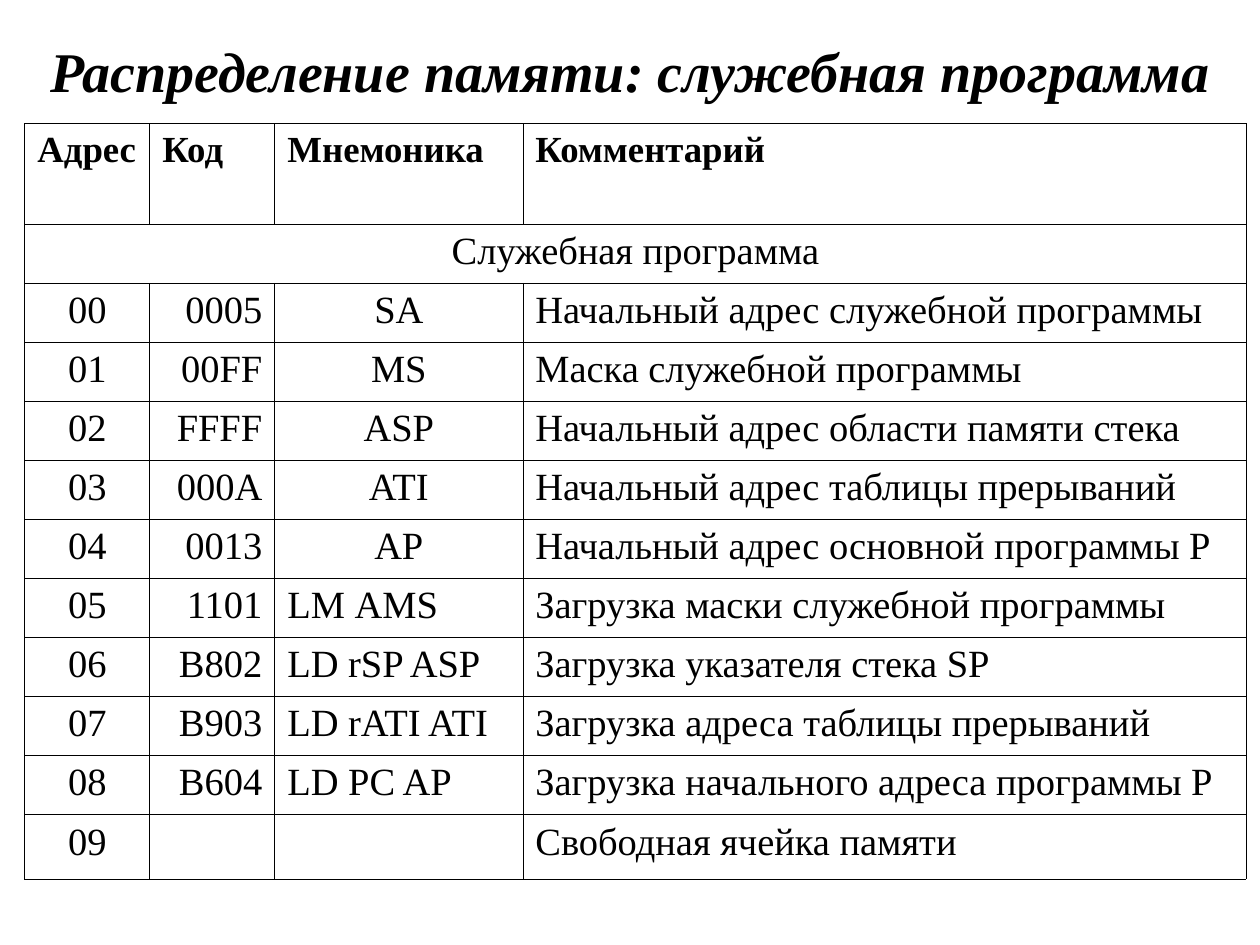
"""Build a slide with the memory layout table of a service program."""
from typing import NamedTuple

from lxml import etree
from pptx import Presentation
from pptx.dml.color import RGBColor
from pptx.enum.text import MSO_ANCHOR, PP_ALIGN
from pptx.oxml.ns import qn
from pptx.util import Cm, Pt

LEFT, CENTER = PP_ALIGN.LEFT, PP_ALIGN.CENTER
RIGHT, JUSTIFY = PP_ALIGN.RIGHT, PP_ALIGN.JUSTIFY
MIDDLE = MSO_ANCHOR.MIDDLE
BLACK = RGBColor(0, 0, 0)
FONT = "Times New Roman"
BORDER_WIDTH = Pt(0.45)
COLUMN_WIDTHS = (Cm(2.52), Cm(2.52), Cm(5), Cm(14.58))
HEADER_HEIGHT, ROW_HEIGHT, LAST_HEIGHT = Cm(2.03), Cm(1.19), Cm(1.3)
HEADERS = ("Адрес", "Код", "Мнемоника", "Комментарий")


class MemoryWord(NamedTuple):
    code: str
    mnemonic: str
    comment: str
    mnemonic_align: PP_ALIGN = LEFT


MEMORY = (
    MemoryWord("0005", "SA", "Начальный адрес служебной программы", CENTER),
    MemoryWord("00FF", "MS", "Маска служебной программы", CENTER),
    MemoryWord("FFFF", "ASP", "Начальный адрес области памяти стека", CENTER),
    MemoryWord("000A", "ATI", "Начальный адрес таблицы прерываний", CENTER),
    MemoryWord("0013", "AP", "Начальный адрес основной программы P", CENTER),
    MemoryWord("1101", "LM АМS", "Загрузка маски служебной программы"),
    MemoryWord("B802", "LD rSP ASP", "Загрузка указателя стека SP"),
    MemoryWord("B903", "LD rATI ATI", "Загрузка адреса таблицы прерываний"),
    MemoryWord("B604", "LD PC AP", "Загрузка начального адреса программы P"),
    MemoryWord("", "", "Свободная ячейка памяти"),
)


def write(frame, text: str, size: int, align: PP_ALIGN, bold: bool = False, italic: bool = False) -> None:
    frame.text = text
    para = frame.paragraphs[0]
    para.alignment = align
    for span in para.runs:
        font = span.font
        font.name, font.size = FONT, Pt(size)
        font.bold, font.italic = bold, italic
        font.color.rgb = BLACK


def style_cell(cell) -> None:
    properties = cell._tc.get_or_add_tcPr()
    for side in ("a:lnL", "a:lnR", "a:lnT", "a:lnB"):
        line = etree.SubElement(properties, qn(side), w=str(BORDER_WIDTH))
        fill = etree.SubElement(line, qn("a:solidFill"))
        etree.SubElement(fill, qn("a:srgbClr"), val=str(BLACK))
    cell.fill.background()


def add_title(page) -> None:
    box = page.shapes.add_textbox(Cm(0.51), Cm(0.43), Cm(24.4), Cm(1.96))
    box.text_frame.word_wrap = True
    box.text_frame.vertical_anchor = MIDDLE
    write(box.text_frame, "Распределение памяти: служебная программа", 32, CENTER, True, True)


def add_memory_table(page) -> None:
    row_heights = (HEADER_HEIGHT, *[ROW_HEIGHT] * len(MEMORY), LAST_HEIGHT)
    table = page.shapes.add_table(
        len(row_heights), len(COLUMN_WIDTHS), Cm(0.5), Cm(2.49), sum(COLUMN_WIDTHS), sum(row_heights)
    ).table
    table.first_row = table.horz_banding = False
    for column, width in zip(table.columns, COLUMN_WIDTHS):
        column.width = width
    for row, height in zip(table.rows, row_heights):
        row.height = height
    for cell in table.iter_cells():
        style_cell(cell)

    for index, header in enumerate(HEADERS):
        write(table.cell(0, index).text_frame, header, 21, JUSTIFY, bold=True)
    section = table.cell(1, 0)
    section.merge(table.cell(1, len(COLUMN_WIDTHS) - 1))
    write(section.text_frame, "Служебная программа", 22, CENTER)
    for address, word in enumerate(MEMORY):
        texts = (f"{address:02}", word.code, word.mnemonic, word.comment)
        aligns = (CENTER, RIGHT, word.mnemonic_align, JUSTIFY)
        for index, (text, align) in enumerate(zip(texts, aligns)):
            write(table.cell(address + 2, index).text_frame, text, 22, align)


def main() -> None:
    deck = Presentation()
    deck.slide_width, deck.slide_height = Cm(25.4), Cm(19.05)
    page = deck.slides.add_slide(deck.slide_layouts[6])
    add_title(page)
    add_memory_table(page)
    deck.save("out.pptx")


if __name__ == "__main__":
    main()
